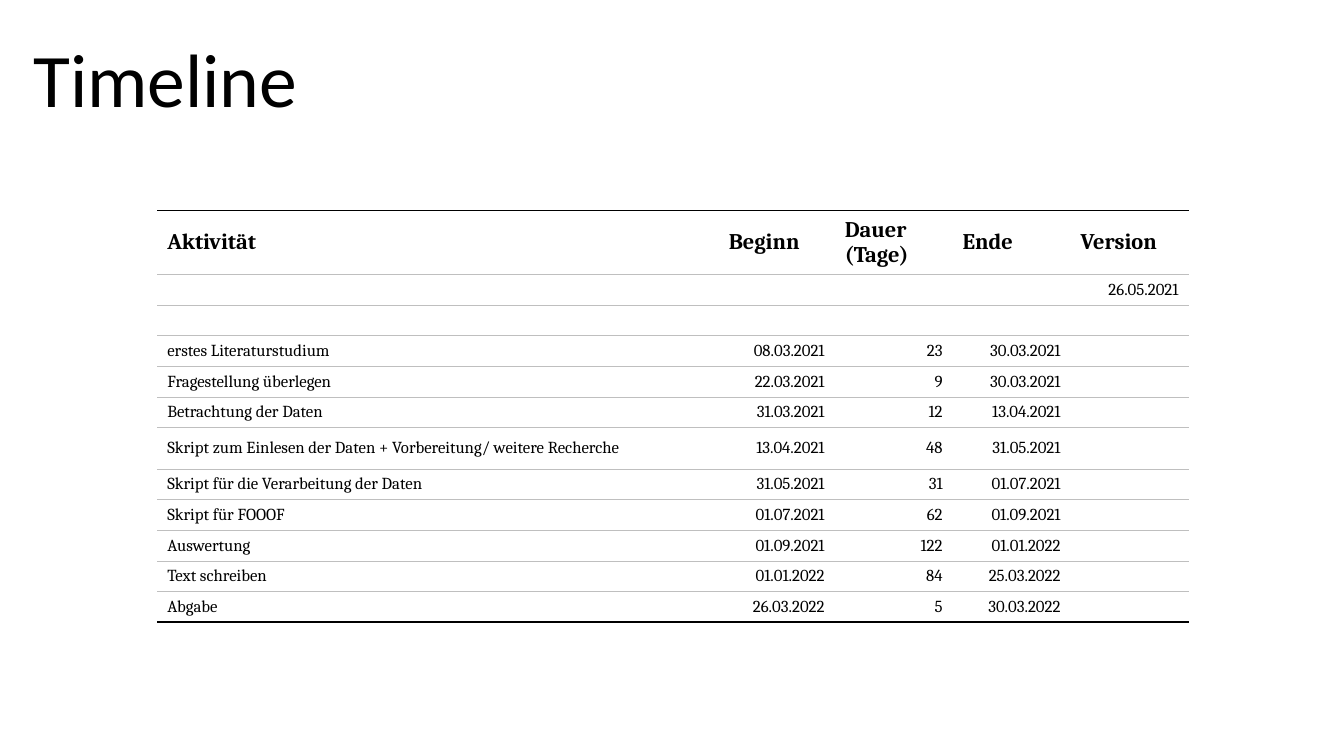
from dataclasses import dataclass

from lxml import etree
from pptx import Presentation
from pptx.dml.color import RGBColor
from pptx.enum.text import MSO_ANCHOR, PP_ALIGN
from pptx.oxml.ns import qn
from pptx.util import Inches, Pt

LEFT, RIGHT = PP_ALIGN.LEFT, PP_ALIGN.RIGHT
MIDDLE = MSO_ANCHOR.MIDDLE
WIDE, HIGH = Inches(13.33), Inches(7.5)


@dataclass(frozen=True)
class Theme:
    ink: str = "000000"
    rule: str = "BFBFBF"
    sans: str = "Calibri"
    serif: str = "Cambria"
    title: int = 54
    head: int = 16
    body: int = 12
    thick: float = 1
    thin: float = 0.5


@dataclass(frozen=True)
class Task:
    name: str = ""
    start: str = ""
    days: str = ""
    end: str = ""
    version: str = ""
    high: float = 4.05  # percent of slide height

    def cells(self) -> tuple[str, ...]:
        return self.name, self.start, self.days, self.end, self.version


THEME = Theme()
COLS = (41.78, 8.63, 8.78, 8.78, 8.78)  # percent of slide width
HEAD = Task("Aktivität", "Beginn", "Dauer (Tage)", "Ende", "Version", 8.2)
TASKS = (
    Task(version="26.05.2021"),
    Task(),
    Task("erstes Literaturstudium", "08.03.2021", "23", "30.03.2021"),
    Task("Fragestellung überlegen", "22.03.2021", "9", "30.03.2021"),
    Task("Betrachtung der Daten", "31.03.2021", "12", "13.04.2021"),
    Task("Skript zum Einlesen der Daten + Vorbereitung/ weitere Recherche",
         "13.04.2021", "48", "31.05.2021", high=5.5),
    Task("Skript für die Verarbeitung der Daten", "31.05.2021", "31", "01.07.2021"),
    Task("Skript für FOOOF", "01.07.2021", "62", "01.09.2021"),
    Task("Auswertung", "01.09.2021", "122", "01.01.2022"),
    Task("Text schreiben", "01.01.2022", "84", "25.03.2022"),
    Task("Abgabe", "26.03.2022", "5", "30.03.2022"),
)


def across(share: float) -> int:
    return round(WIDE * share / 100)


def down(share: float) -> int:
    return round(HIGH * share / 100)


def write(frame, text: str, *, size: int, face: str, bold: bool = False,
          align=LEFT, space: float = 1) -> None:
    line = frame.paragraphs[0]
    line.alignment, line.line_spacing = align, space
    if not text:  # an empty cell keeps the type size of its row
        etree.SubElement(line._p, qn("a:endParaRPr"), sz=str(size * 100))
        return
    run = line.add_run()
    run.text = text
    font = run.font
    font.size, font.name, font.bold = Pt(size), face, bold
    font.color.rgb = RGBColor.from_string(THEME.ink)


def edge(cell, side: str, width: float = 0, color: str = "") -> None:
    line = etree.SubElement(cell._tc.get_or_add_tcPr(), qn(f"a:ln{side}"),
                            w=str(Pt(width)))
    if not width:
        etree.SubElement(line, qn("a:noFill"))
        return
    fill = etree.SubElement(line, qn("a:solidFill"))
    etree.SubElement(fill, qn("a:srgbClr"), val=color)


def draw_title(slide) -> None:
    box = slide.shapes.add_textbox(across(1.73), down(1.33), across(86.27), down(19.33))
    frame = box.text_frame
    frame.word_wrap, frame.vertical_anchor = True, MIDDLE
    write(frame, "Timeline", size=THEME.title, face=THEME.sans, space=0.9)


def draw_table(slide, rows: tuple[Task, ...]) -> None:
    high = sum(row.high for row in rows)
    table = slide.shapes.add_table(len(rows), len(COLS), across(11.7), down(27.87),
                                   across(sum(COLS)), down(high)).table
    table.first_row = table.horz_banding = False
    for col, share in zip(table.columns, COLS):
        col.width = across(share)

    thick, thin = (THEME.thick, THEME.ink), (THEME.thin, THEME.rule)
    last = len(rows) - 1
    for r, row in enumerate(rows):
        table.rows[r].height = down(row.high)
        head = r == 0
        for c, text in enumerate(row.cells()):
            cell = table.cell(r, c)
            cell.vertical_anchor = MIDDLE
            write(cell.text_frame, text, size=THEME.head if head else THEME.body,
                  face=THEME.serif, bold=head,
                  align=LEFT if head or c == 0 else RIGHT)
            # Open sides, strong rules at the outer top and bottom
            edge(cell, "L")
            edge(cell, "R")
            edge(cell, "T", *(thick if head else thin))
            edge(cell, "B", *(thick if r == last else thin))
            cell.fill.background()


def main() -> None:
    deck = Presentation()
    deck.slide_width, deck.slide_height = WIDE, HIGH
    slide = deck.slides.add_slide(deck.slide_layouts[6])
    draw_title(slide)
    draw_table(slide, (HEAD, *TASKS))
    deck.save("out.pptx")


if __name__ == "__main__":
    main()
